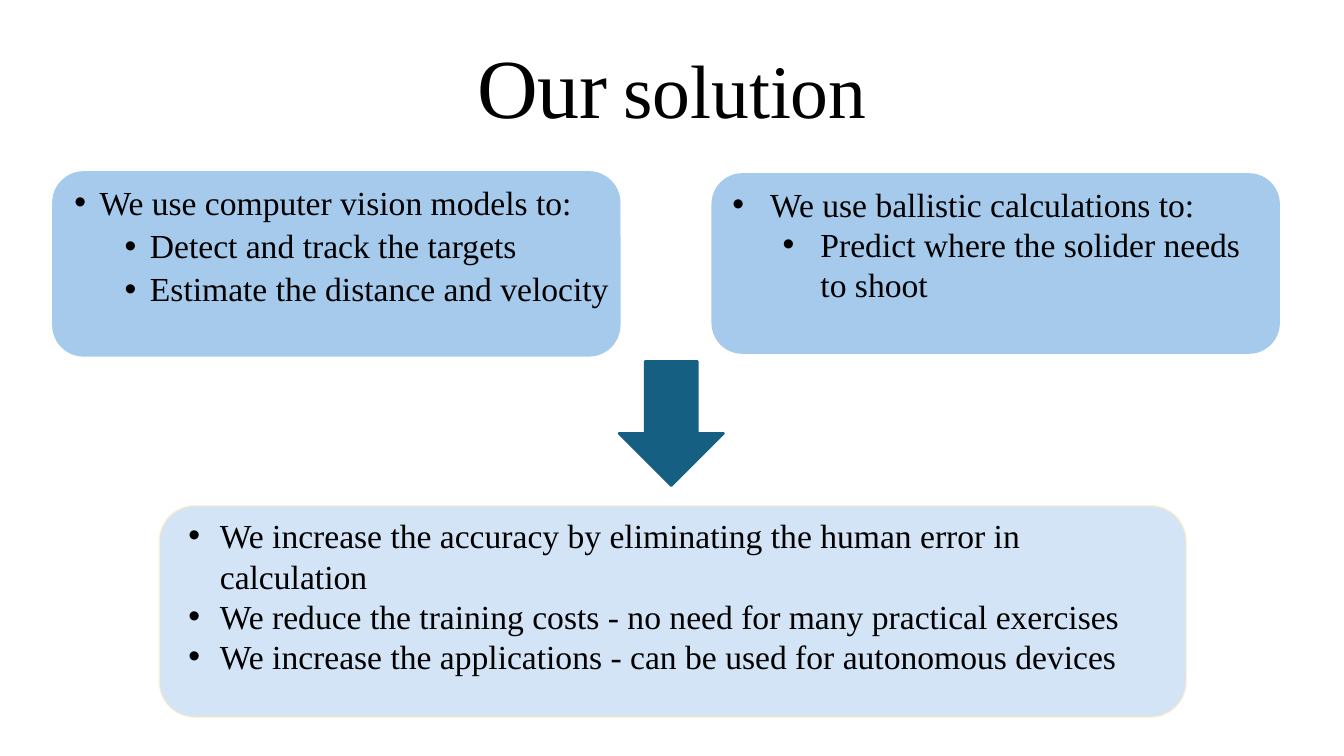
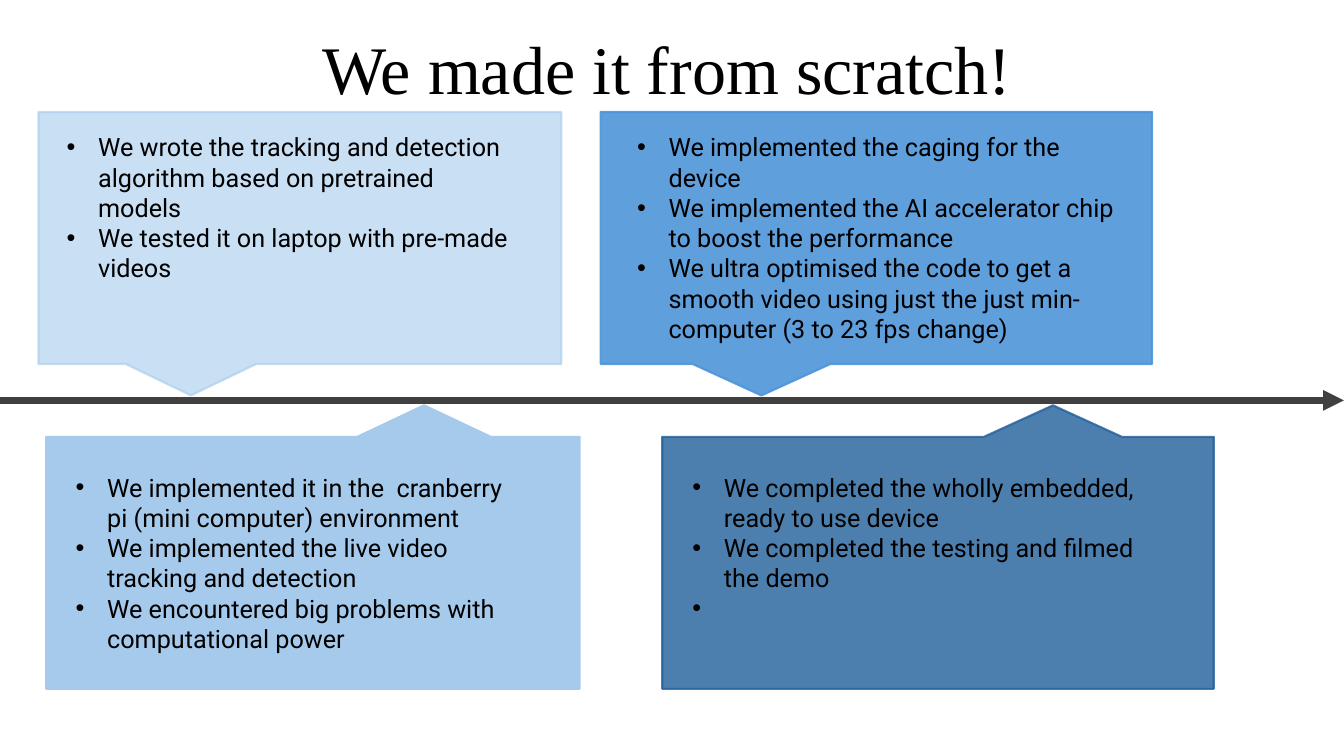
from lxml.etree import SubElement
from pptx import Presentation
from pptx.dml.color import RGBColor
from pptx.enum.shapes import MSO_CONNECTOR as Connector, MSO_SHAPE as Shape
from pptx.enum.text import MSO_ANCHOR as Anchor, PP_ALIGN as Align
from pptx.oxml.ns import qn
from pptx.util import Pt

COLORS = {
    "text": "000000",
    "pale": "A6CAEC",
    "cream": "F2E8C4",
    "blue": "4E95D9",
    "deep": "215F9A",
    "teal": "156082",
    "axis": "404040",
}
PAGE_WIDTH, PAGE_HEIGHT = 960, 540
SERIF, SANS = "Times New Roman", "Roboto"
HANGING = 22.5
CALLOUT_HEIGHT = 180
UPPER_TOP, LOWER_TOP, AXIS_Y = 80, 312, 286
UPPER_TEXT_TOP, LOWER_TEXT_TOP = 90.5, 333.5


def rgb(name):
    return RGBColor.from_string(COLORS[name])


def apply(target, values):
    for name, value in values.items():
        setattr(target, name, value)


def set_opacity(shape, percent):
    """Make the fill and the outline of a shape equally see-through."""
    for color in shape._element.spPr.iter(qn("a:srgbClr")):
        SubElement(color, qn("a:alpha"), val=str(percent * 1000))


def add_panel(page, kind, area, fill, line=None, opacity=100, rotation=0):
    panel = page.shapes.add_shape(kind, *map(Pt, area))
    panel.shadow.inherit = False
    panel.rotation = rotation
    panel.fill.solid()
    panel.fill.fore_color.rgb = rgb(fill)
    panel.line.color.rgb = rgb(line or fill)
    panel.line.width = Pt(1.5)
    if opacity < 100:
        set_opacity(panel, opacity)


def add_frame(page, area, anchor=Anchor.TOP):
    frame = page.shapes.add_textbox(*map(Pt, area)).text_frame
    apply(frame, {"word_wrap": True, "vertical_anchor": anchor})
    return frame


def add_span(para, text, size, font):
    span = para.add_run()
    span.text = text
    apply(span.font, {"size": Pt(size), "name": font})
    span.font.color.rgb = rgb("text")


def add_title(page, area, spans, align=Align.LEFT):
    para = add_frame(page, area, Anchor.MIDDLE).paragraphs[0]
    apply(para, {"alignment": align, "line_spacing": 0.9})
    for text, size in spans:
        add_span(para, text, size, SERIF)


def set_bullet(para, margin, hanging):
    props = para._p.get_or_add_pPr()
    props.set("marL", str(Pt(margin)))
    props.set("indent", str(-Pt(hanging)))
    SubElement(props, qn("a:buFont"), typeface="Arial")
    SubElement(props, qn("a:buChar"), char="•")


def add_bullets(page, area, items, size, font, hanging=HANGING,
                line_spacing=1.0, gaps=(0, 0)):
    """Items are (level, text) pairs; gaps give the space before each level."""
    frame = add_frame(page, area)
    for index, (level, text) in enumerate(items):
        para = frame.add_paragraph() if index else frame.paragraphs[0]
        apply(para, {"level": level, "line_spacing": line_spacing,
                     "space_before": Pt(gaps[level])})
        set_bullet(para, hanging + 36 * level, hanging)
        add_span(para, text, size, font)


def add_axis(page):
    axis = page.shapes.add_connector(
        Connector.STRAIGHT, 0, Pt(AXIS_Y), Pt(PAGE_WIDTH), Pt(AXIS_Y))
    axis.line.color.rgb = rgb("axis")
    axis.line.width = Pt(5)
    SubElement(axis.line._get_or_add_ln(), qn("a:tailEnd"), type="triangle")
    SubElement(axis._element.spPr, qn("a:effectLst"))


def add_milestone(page, left, width, text_area, texts, color, opacity, above):
    """Callout that points at the axis from above or from below."""
    top = UPPER_TOP if above else LOWER_TOP
    add_panel(page, Shape.RECTANGULAR_CALLOUT,
              (left, top, width, CALLOUT_HEIGHT), color,
              opacity=opacity, rotation=0 if above else 180)
    text_left, text_width = text_area
    text_top = UPPER_TEXT_TOP if above else LOWER_TEXT_TOP
    add_bullets(page, (text_left, text_top, text_width, 140),
                [(0, text) for text in texts], 18, SANS)


def build_solution(page):
    add_title(page, (66, 13, 828, 104.5),
              [("Our", 60), (" ", 44), ("solution", 54)], Align.CENTER)
    add_panel(page, Shape.ROUNDED_RECTANGLE, (38, 123, 404.5, 131), "pale")
    add_panel(page, Shape.ROUNDED_RECTANGLE, (509, 124.5, 404.5, 127.5), "pale")
    add_panel(page, Shape.DOWN_ARROW, (442, 258, 75, 89), "teal")
    add_panel(page, Shape.ROUNDED_RECTANGLE, (114, 361.5, 733, 150.5),
              "pale", "cream", opacity=50)
    add_bullets(page, (46, 129.5, 414, 115), [
        (0, "We use computer vision models to:"),
        (1, "Detect and track the targets"),
        (1, "Estimate the distance and velocity"),
    ], 24, SERIF, hanging=18, line_spacing=0.9, gaps=(10, 5))
    add_bullets(page, (516, 127.5, 391, 116.5), [
        (0, "We use ballistic calculations to:"),
        (1, "Predict where the solider needs to shoot"),
    ], 24, SERIF, hanging=27)
    add_bullets(page, (127.5, 364.5, 705.5, 124), [
        (0, "We increase the accuracy by eliminating the human error in calculation"),
        (0, "We reduce the training costs - no need for many practical exercises"),
        (0, "We increase the applications - can be used for autonomous devices"),
    ], 24, SERIF)


def build_timeline(page):
    add_title(page, (223, 0, 513.5, 103), [("We made it from scratch!", 48.6)])
    add_axis(page)
    add_milestone(page, 27.5, 373.5, (40.5, 339), [
        "We wrote the tracking and detection algorithm based on pretrained models",
        "We tested it on laptop with pre-made videos",
    ], "pale", 60, above=True)
    add_milestone(page, 33, 381, (47, 337.5), [
        "We implemented it in the  cranberry pi (mini computer) environment",
        "We implemented the live video tracking and detection",
        "We encountered big problems with computational power",
    ], "pale", 100, above=False)
    add_milestone(page, 429, 394, (448, 357), [
        "We implemented the caging for the device",
        "We implemented the AI accelerator chip to boost the performance",
        "We ultra optimised the code to get a smooth video using just the just "
        "min-computer (3 to 23 fps change)",
    ], "blue", 90, above=True)
    add_milestone(page, 473, 394, (487.5, 345.5), [
        "We completed the wholly embedded, ready to use device",
        "We completed the testing and filmed the demo",
        " ",
    ], "deep", 80, above=False)


def main():
    deck = Presentation()
    apply(deck, {"slide_width": Pt(PAGE_WIDTH), "slide_height": Pt(PAGE_HEIGHT)})
    for build in (build_solution, build_timeline):
        build(deck.slides.add_slide(deck.slide_layouts[6]))
    deck.save("out.pptx")


if __name__ == "__main__":
    main()
